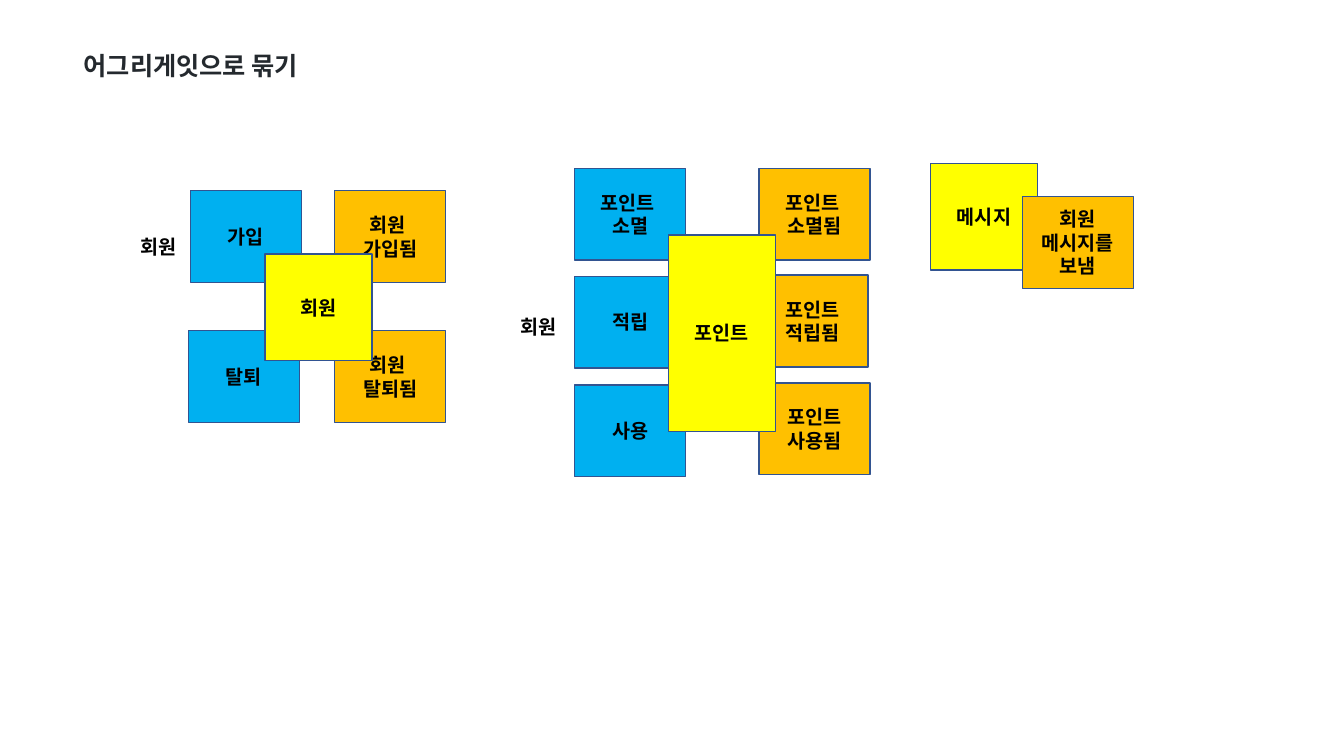
from dataclasses import dataclass
from enum import Enum

import lxml.etree
import pptx
import pptx.dml.color
import pptx.enum.text
import pptx.oxml.ns
import pptx.presentation
import pptx.shapes.base
import pptx.slide
import pptx.text.text
import pptx.util
from pptx.enum.shapes import MSO_SHAPE
from pptx.util import Inches


@dataclass(frozen=True)
class Theme:
    title_font: str = "Lato"
    body_font: str = "Noto Sans CJK KR"
    title_size: int = 18
    note_size: int = 14
    line_width: int = 1
    title_color: str = "24292E"
    text_color: str = "000000"
    outline: str = "325491"
    command: str = "00B0F0"
    event: str = "FFC000"
    aggregate: str = "FFFF00"


THEME = Theme()


class Kind(Enum):
    """Width, height and fill of each sort of sticky note."""
    COMMAND = (1.1, 0.91, THEME.command)
    EVENT = (1.1, 0.91, THEME.event)
    AGGREGATE = (1.06, 1.06, THEME.aggregate)
    TALL_AGGREGATE = (1.06, 1.95, THEME.aggregate)
    ACTOR = (0.65, 0.41, None)


@dataclass(frozen=True)
class Note:
    kind: Kind
    left: float
    top: float
    text: str


@dataclass(frozen=True)
class Cluster:
    notes: tuple[Note, ...]
    grouped: bool = True


CLUSTERS = (
    Cluster((
        Note(Kind.COMMAND, 1.89, 1.89, "가입"),
        Note(Kind.EVENT, 3.32, 3.28, "회원 \n탈퇴됨"),
        Note(Kind.EVENT, 3.32, 1.89, "회원 \n가입됨"),
        Note(Kind.COMMAND, 1.87, 3.28, "탈퇴"),
        Note(Kind.ACTOR, 1.25, 2.24, "회원"),
        Note(Kind.AGGREGATE, 2.63, 2.52, "회원"),
    )),
    Cluster((
        Note(Kind.AGGREGATE, 9.23, 1.62, "메시지"),
        Note(Kind.EVENT, 10.14, 1.95, "회원 메시지를 보냄"),
    ), grouped=False),
    Cluster((
        Note(Kind.ACTOR, 5.02, 3.04, "회원"),
        Note(Kind.EVENT, 7.53, 3.8, "포인트\n사용됨"),
        Note(Kind.COMMAND, 5.7, 3.82, "사용"),
        Note(Kind.EVENT, 7.51, 2.73, "포인트\n적립됨"),
        Note(Kind.COMMAND, 5.7, 2.74, "적립"),
        Note(Kind.COMMAND, 5.7, 1.67, "포인트 \n소멸"),
        Note(Kind.EVENT, 7.53, 1.67, "포인트 \n소멸됨"),
        Note(Kind.TALL_AGGREGATE, 6.63, 2.33, "포인트"),
    )),
)


def rgb(color: str) -> pptx.dml.color.RGBColor:
    return pptx.dml.color.RGBColor.from_string(color)


def write_text(frame: pptx.text.text.TextFrame, text: str, font: str, size: int,
               color: str, align: pptx.enum.text.PP_ALIGN) -> None:
    frame.text = text
    frame.word_wrap = True
    frame.auto_size = pptx.enum.text.MSO_AUTO_SIZE.NONE
    frame.vertical_anchor = pptx.enum.text.MSO_ANCHOR.MIDDLE
    for para in frame.paragraphs:
        para.alignment = align
        for span in para.runs:
            span.font.name = font
            span.font.size = pptx.util.Pt(size)
            span.font.bold = True
            span.font.color.rgb = rgb(color)
            east_asian = lxml.etree.SubElement(
                span.font._element, pptx.oxml.ns.qn("a:ea"))
            east_asian.set("typeface", THEME.body_font)


def add_title(page: pptx.slide.Slide, text: str) -> None:
    title = page.shapes.title
    title.left, title.top = Inches(0.73), Inches(0.41)
    title.width, title.height = Inches(3.99), Inches(0.47)
    write_text(title.text_frame, text, THEME.title_font, THEME.title_size,
               THEME.title_color, pptx.enum.text.PP_ALIGN.LEFT)


def add_note(shapes: pptx.shapes.shapetree.GroupShapes, note: Note) -> None:
    width, height, fill = note.kind.value
    bounds = [Inches(length) for length in (note.left, note.top, width, height)]
    if fill is None:
        box = shapes.add_textbox(*bounds)
    else:
        box = shapes.add_shape(MSO_SHAPE.RECTANGLE, *bounds)
        box.shadow.inherit = False
        box.fill.solid()
        box.fill.fore_color.rgb = rgb(fill)
        box.line.color.rgb = rgb(THEME.outline)
        box.line.width = pptx.util.Pt(THEME.line_width)
    write_text(box.text_frame, note.text, THEME.body_font, THEME.note_size,
               THEME.text_color, pptx.enum.text.PP_ALIGN.CENTER)


def add_cluster(page: pptx.slide.Slide, cluster: Cluster) -> None:
    shapes = page.shapes.add_group_shape().shapes if cluster.grouped else page.shapes
    for note in cluster.notes:
        add_note(shapes, note)


def main() -> None:
    deck = pptx.Presentation()
    deck.slide_width, deck.slide_height = Inches(13.33), Inches(7.5)
    title_only = deck.slide_layouts.get_by_name("Title Only")
    page = deck.slides.add_slide(title_only)
    add_title(page, "어그리게잇으로 묶기")
    for cluster in CLUSTERS:
        add_cluster(page, cluster)
    deck.save("out.pptx")


if __name__ == "__main__":
    main()
